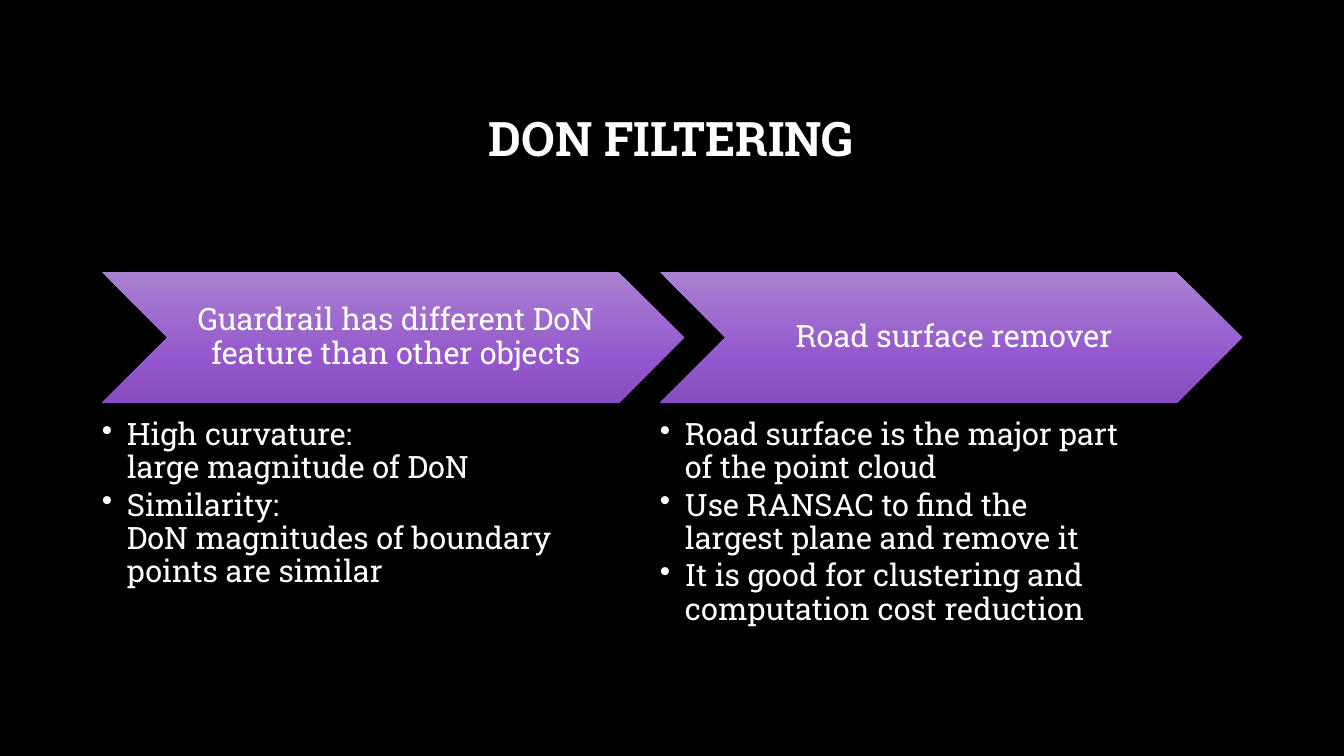
import copy

import lxml.etree
import pptx
import pptx.dml.color
import pptx.enum.shapes
import pptx.enum.text
import pptx.oxml.ns
import pptx.util

PX = 914400 / 100.8
FONT = "Roboto Slab"
COLORS = {
    "page": "000000",
    "text": "FFFFFF",
    "top": "A981D1",
    "middle": "9456CD",
    "bottom": "864BBC",
}
GRADIENT = [(0, "top"), (0.69, "middle"), (1, "bottom")]
ALIGN = pptx.enum.text.PP_ALIGN
ANCHOR = pptx.enum.text.MSO_ANCHOR

COLUMNS = [
    (
        "Guardrail has different DoN feature than other objects",
        [
            ["High curvature:", "large magnitude of DoN"],
            ["Similarity:", "DoN magnitudes of boundary points are similar"],
        ],
    ),
    (
        "Road surface remover",
        [
            ["Road surface is the major part of the point cloud"],
            ["Use RANSAC to find the largest plane and remove it"],
            ["It is good for clustering and computation cost reduction"],
        ],
    ),
]


def px(length):
    return pptx.util.Emu(round(length * PX))


def color(name):
    return pptx.dml.color.RGBColor.from_string(COLORS[name])


def set_frame(frame, anchor, margins):
    frame.word_wrap = True
    frame.auto_size = pptx.enum.text.MSO_AUTO_SIZE.NONE
    frame.vertical_anchor = anchor
    left, top, right, bottom = map(px, margins)
    frame.margin_left, frame.margin_top = left, top
    frame.margin_right, frame.margin_bottom = right, bottom


def write(para, lines, size, align, bold=False):
    para.alignment = align
    para.line_spacing = 0.9
    for number, line in enumerate(lines):
        if number:
            para.add_line_break()
        span = para.add_run()
        span.text = line
        span.font.name = FONT
        span.font.size = pptx.util.Pt(size)
        span.font.bold = bold
        span.font.color.rgb = color("text")


def add_bullet(para, indent):
    properties = para._p.get_or_add_pPr()
    properties.set("marL", str(px(indent)))
    properties.set("indent", str(-px(indent)))
    bullet = lxml.etree.SubElement(properties, pptx.oxml.ns.qn("a:buChar"))
    bullet.set("char", "•")


def fill_gradient(shape):
    shape.fill.gradient()
    shape.fill.gradient_angle = 270  # counter-clockwise: runs top to bottom
    stop_list = shape._element.spPr.find(".//" + pptx.oxml.ns.qn("a:gsLst"))
    stop_list.append(copy.deepcopy(stop_list[-1]))
    for stop, (position, name) in zip(shape.fill.gradient_stops, GRADIENT):
        stop.position = position
        stop.color.rgb = color(name)


def add_title(page, left, top, width, height):
    title = page.shapes.title
    title.left, title.top = px(left), px(top)
    title.width, title.height = px(width), px(height)
    set_frame(title.text_frame, ANCHOR.MIDDLE, (10, 5, 10, 5))
    write(title.text_frame.paragraphs[0], ["DON FILTERING"], 34, ALIGN.CENTER, bold=True)


def add_column(page, left, top, width, heading, points):
    # Chevron with its heading
    chevron_height = 131
    chevron = page.shapes.add_shape(
        pptx.enum.shapes.MSO_SHAPE.CHEVRON,
        px(left), px(top), px(width), px(chevron_height),
    )
    chevron.shadow.inherit = False
    chevron.line.fill.background()
    fill_gradient(chevron)
    set_frame(chevron.text_frame, ANCHOR.MIDDLE, (9, 3, 3, 3))
    write(chevron.text_frame.paragraphs[0], [heading], 22, ALIGN.CENTER)

    # Bullet list below it
    box = page.shapes.add_textbox(
        px(left), px(top + chevron_height + 16), px(width * 0.8), px(207)
    )
    frame = box.text_frame
    set_frame(frame, ANCHOR.TOP, (0, 0, 0, 0))
    for number, lines in enumerate(points):
        para = frame.add_paragraph() if number else frame.paragraphs[0]
        add_bullet(para, 25)
        write(para, lines, 22, ALIGN.LEFT)
        para.space_after = pptx.util.Pt(3)


def main():
    deck = pptx.Presentation()
    deck.slide_width, deck.slide_height = px(1344), px(756)
    page = deck.slides.add_slide(deck.slide_layouts[5])
    page.background.fill.solid()
    page.background.fill.fore_color.rgb = color("page")

    add_title(page, 101, 68, 1141, 146)
    for number, (heading, points) in enumerate(COLUMNS):
        add_column(page, 102 + number * 558, 272, 582, heading, points)

    deck.save("out.pptx")


if __name__ == "__main__":
    main()
